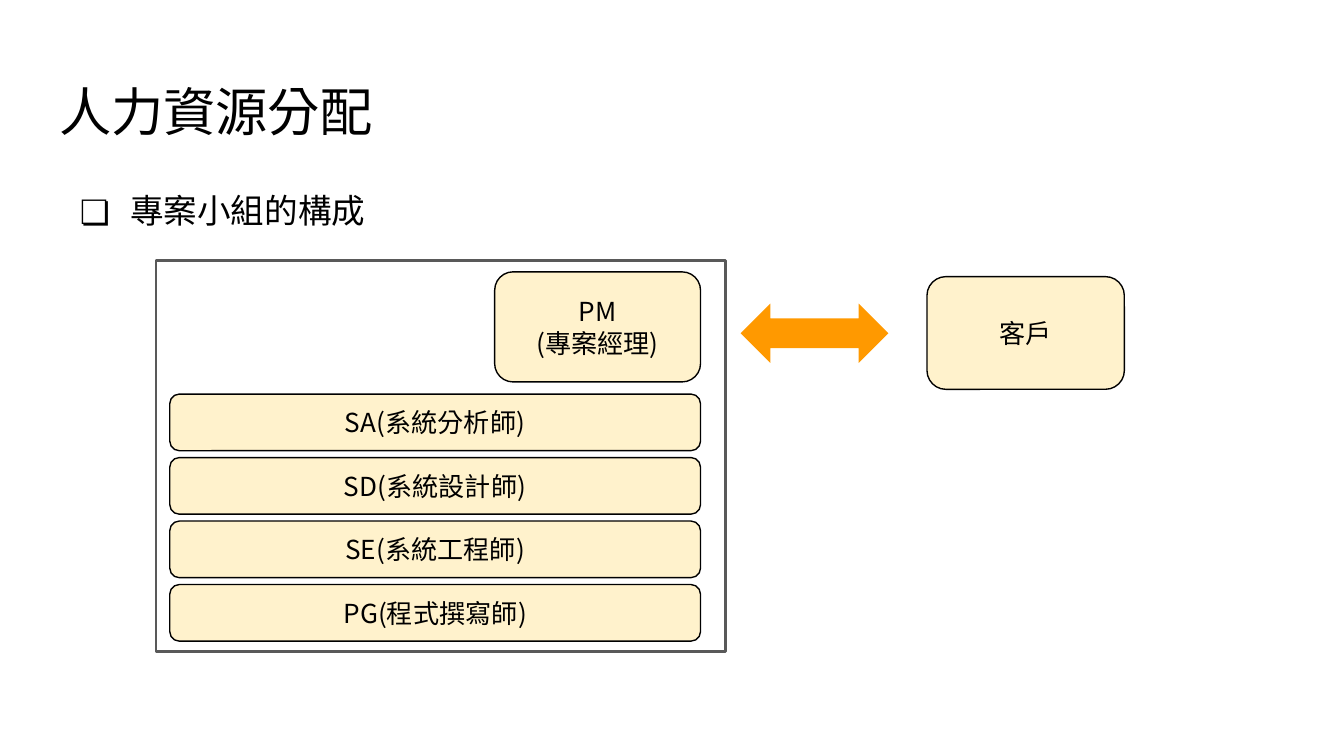
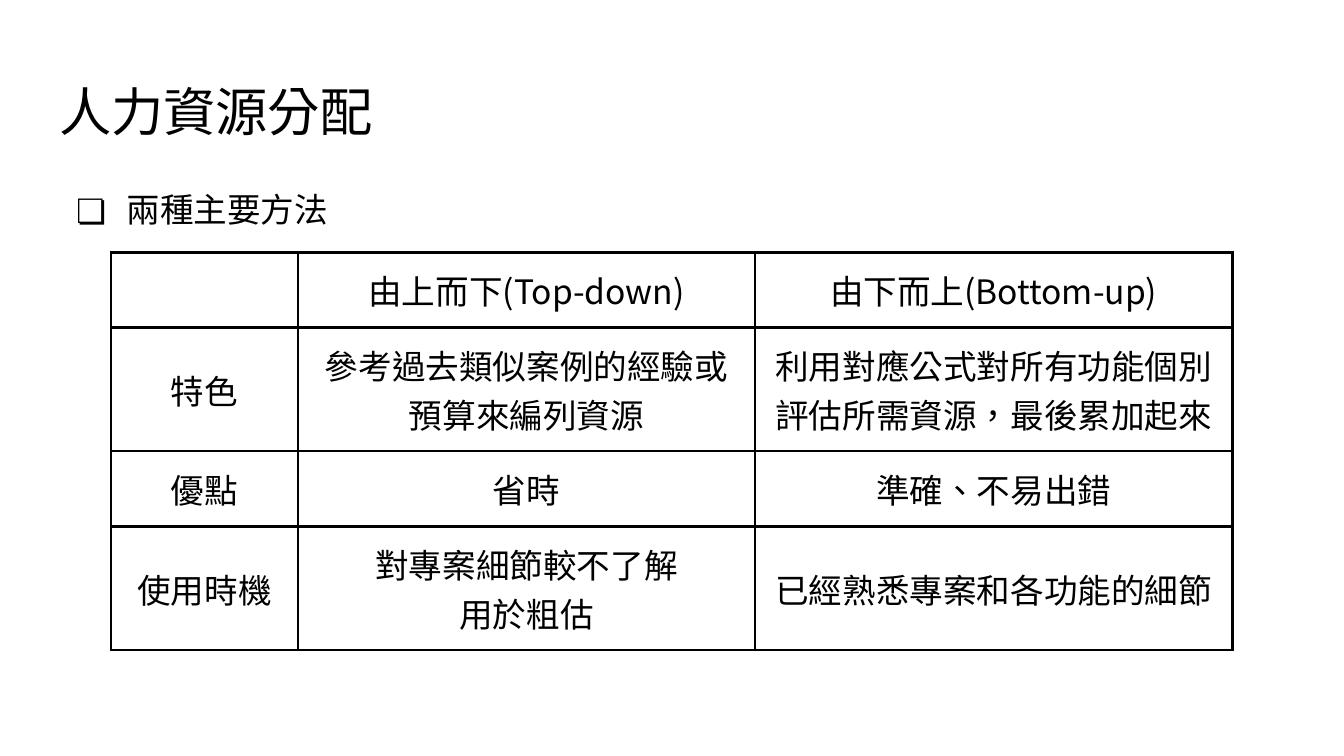
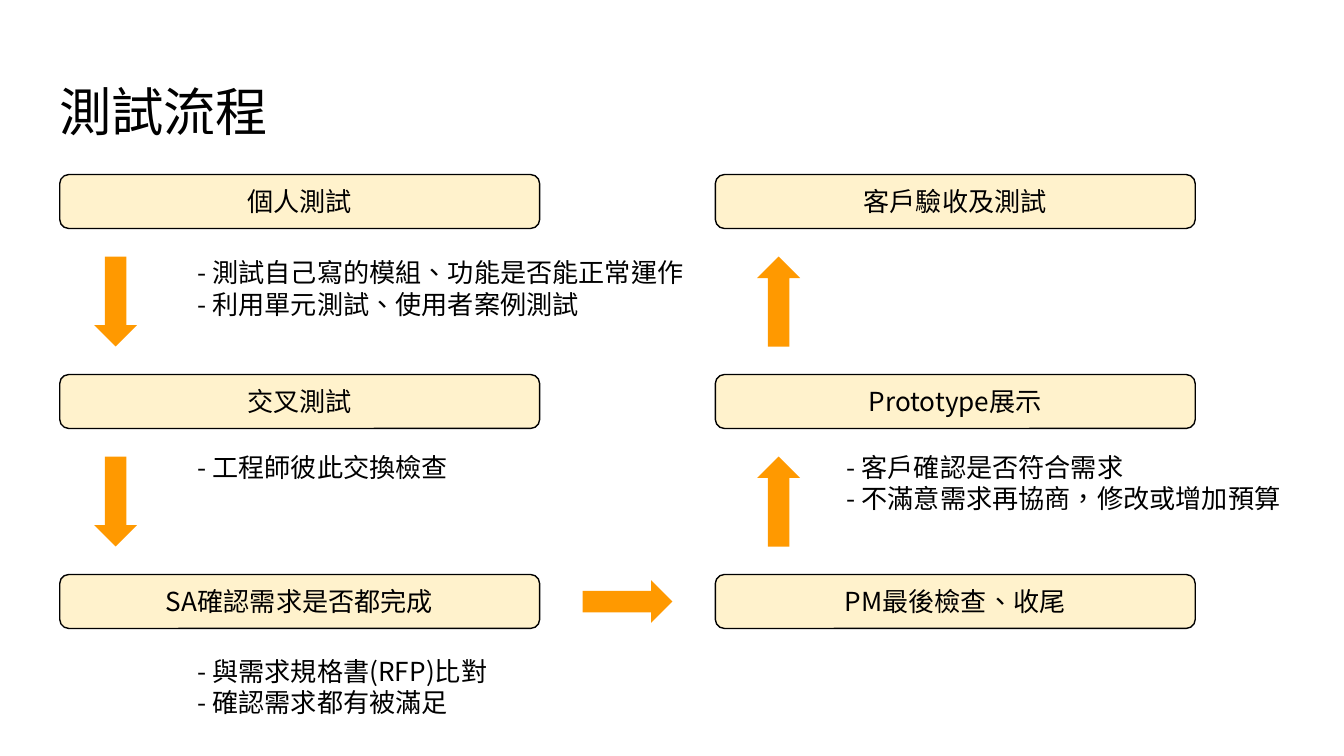
from dataclasses import dataclass

from lxml import etree
from pptx import Presentation
from pptx.dml.color import RGBColor
from pptx.enum.lang import MSO_LANGUAGE_ID
from pptx.enum.shapes import MSO_SHAPE
from pptx.enum.text import MSO_ANCHOR, PP_ALIGN
from pptx.oxml.ns import qn
from pptx.util import Cm, Pt

RECTANGLE = MSO_SHAPE.RECTANGLE
ROUNDED = MSO_SHAPE.ROUNDED_RECTANGLE
DOWN_ARROW = MSO_SHAPE.DOWN_ARROW
TWO_WAY_ARROW = MSO_SHAPE.LEFT_RIGHT_ARROW
CENTER, LEFT = PP_ALIGN.CENTER, PP_ALIGN.LEFT
MIDDLE, TOP = MSO_ANCHOR.MIDDLE, MSO_ANCHOR.TOP
LANGUAGE = MSO_LANGUAGE_ID.TRADITIONAL_CHINESE


@dataclass(frozen=True)
class Theme:
    font: str = "Noto Sans CJK TC"
    ink: str = "000000"
    box: str = "FFF2CC"
    arrow: str = "FF9900"
    frame: str = "595959"
    title_size: int = 28
    body_size: int = 18
    label_size: int = 14
    loose: float = 1.15
    inset: float = 0.25
    thin: float = 0.75
    thick: float = 1.5


THEME = Theme()

STAFFING_TITLE = "人力資源分配"
TEAM_HEADING = "專案小組的構成"
MANAGER = ["PM", "(專案經理)"]
ROLES = ["SA(系統分析師)", "SD(系統設計師)", "SE(系統工程師)", "PG(程式撰寫師)"]
CLIENT = ["客戶"]

METHODS_HEADING = "兩種主要方法"
METHODS = [
    [[], ["由上而下(Top-down)"], ["由下而上(Bottom-up)"]],
    [["特色"], ["參考過去類似案例的經驗或預算來編列資源"],
     ["利用對應公式對所有功能個別評估所需資源，最後累加起來"]],
    [["優點"], ["省時"], ["準確、不易出錯"]],
    [["使用時機"], ["對專案細節較不了解", "用於粗估"], ["已經熟悉專案和各功能的細節"]],
]
METHOD_WIDTHS = [3.53, 8.64, 9.02]
METHOD_HEIGHTS = [1.42, 2.34, 1.42, 2.34]

TESTING_TITLE = "測試流程"
STAGES = [
    ["個人測試", "交叉測試", "SA確認需求是否都完成"],
    ["客戶驗收及測試", "Prototype展示", "PM最後檢查、收尾"],
]
NOTES = [
    (3.48, 4.6, 9.96, 1.6, ["- 測試自己寫的模組、功能是否能正常運作", "- 利用單元測試、使用者案例測試"]),
    (3.48, 8.28, 9.96, 1.02, ["- 工程師彼此交換檢查"]),
    (3.48, 12.14, 9.07, 1.6, ["- 與需求規格書(RFP)比對", "- 確認需求都有被滿足"]),
    (15.75, 8.28, 9.07, 1.6, ["- 客戶確認是否符合需求", "- 不滿意需求再協商，修改或增加預算"]),
]


def color(value):
    return RGBColor.from_string(value)


def write(frame, lines, size, align=LEFT, spacing=None):
    for index, line in enumerate(lines):
        paragraph = frame.paragraphs[0] if index == 0 else frame.add_paragraph()
        run = paragraph.add_run()
        run.text = line
        run.font.language_id = LANGUAGE
        paragraph.alignment = align
        paragraph.line_spacing = spacing
        paragraph.font.name = THEME.font
        paragraph.font.size = Pt(size)
        paragraph.font.color.rgb = color(THEME.ink)
        defaults = paragraph._p.get_or_add_pPr().get_or_add_defRPr()
        defaults.find(qn("a:latin")).addnext(
            etree.Element(qn("a:ea"), typeface=THEME.font))


def set_margins(target):
    target.margin_left = target.margin_right = Cm(THEME.inset)
    target.margin_top = target.margin_bottom = Cm(THEME.inset)


def add_text(slide, bounds, lines, size, spacing=None):
    frame = slide.shapes.add_textbox(*map(Cm, bounds)).text_frame
    frame.word_wrap = True
    frame.vertical_anchor = TOP
    set_margins(frame)
    write(frame, lines, size, spacing=spacing)
    return frame


def add_heading(slide, left, top, text):
    frame = add_text(slide, (left, top, 23.67, 1.27), [text], THEME.body_size, THEME.loose)
    properties = frame.paragraphs[0]._p.get_or_add_pPr()
    properties.set("marL", str(Cm(1.27)))
    properties.set("indent", str(Cm(-0.95)))
    bullet_color = etree.Element(qn("a:buClr"))
    etree.SubElement(bullet_color, qn("a:srgbClr"), val=THEME.ink)
    bullet_font = etree.Element(qn("a:buFont"), typeface=THEME.font)
    bullet = etree.Element(qn("a:buChar"), char="❏")
    for element in (bullet_color, bullet_font, bullet):
        properties.find(qn("a:defRPr")).addprevious(element)


def add_figure(shapes, kind, bounds, fill=None, line=None, width=THEME.thin):
    shape = shapes.add_shape(kind, *map(Cm, bounds))
    shape.shadow.inherit = False
    if fill:
        shape.fill.solid()
        shape.fill.fore_color.rgb = color(fill)
    else:
        shape.fill.background()
    if line:
        shape.line.color.rgb = color(line)
        shape.line.width = Pt(width)
    else:
        shape.line.fill.background()
    return shape


def add_box(shapes, bounds, lines):
    frame = add_figure(shapes, ROUNDED, bounds, THEME.box, THEME.ink).text_frame
    frame.word_wrap = True
    frame.vertical_anchor = MIDDLE
    set_margins(frame)
    write(frame, lines, THEME.label_size, CENTER)


def add_arrow(slide, bounds, rotation=0, kind=DOWN_ARROW):
    add_figure(slide.shapes, kind, bounds, THEME.arrow).rotation = rotation


def add_slide(presentation, title):
    slide = presentation.slides.add_slide(presentation.slide_layouts[6])
    add_text(slide, (0.87, 1.24, 23.67, 1.6), [title], THEME.title_size)
    return slide


def set_borders(cell):
    properties = cell._tc.get_or_add_tcPr()
    for position, side in enumerate(("a:lnL", "a:lnR", "a:lnT", "a:lnB")):
        line = etree.Element(qn(side), w=str(Pt(THEME.thick)))
        fill = etree.SubElement(line, qn("a:solidFill"))
        etree.SubElement(fill, qn("a:srgbClr"), val=THEME.ink)
        properties.insert(position, line)


def build_team(presentation):
    slide = add_slide(presentation, STAFFING_TITLE)
    add_heading(slide, 0.94, 3.23, TEAM_HEADING)
    team = slide.shapes.add_group_shape().shapes
    add_figure(team, RECTANGLE, (2.95, 4.93, 10.77, 7.38),
               line=THEME.frame, width=THEME.thick)
    add_box(team, (9.35, 5.14, 3.89, 2.08), MANAGER)
    for index, role in enumerate(ROLES):
        add_box(team, (3.21, 7.45 + index * 1.2, 10.03, 1.07), [role])
    add_box(slide.shapes, (17.52, 5.23, 3.73, 2.13), CLIENT)
    add_arrow(slide, (14, 5.74, 2.79, 1.12), kind=TWO_WAY_ARROW)


def build_methods(presentation):
    slide = add_slide(presentation, STAFFING_TITLE)
    add_heading(slide, 0.87, 3.2, METHODS_HEADING)
    bounds = (2.1, 4.77, sum(METHOD_WIDTHS), sum(METHOD_HEIGHTS))
    table = slide.shapes.add_table(
        len(METHODS), len(METHOD_WIDTHS), *map(Cm, bounds)).table
    table.first_row = table.horz_banding = False
    for column, width in zip(table.columns, METHOD_WIDTHS):
        column.width = Cm(width)
    for row, height, contents in zip(table.rows, METHOD_HEIGHTS, METHODS):
        row.height = Cm(height)
        for cell, lines in zip(row.cells, contents):
            cell.fill.background()
            cell.vertical_anchor = MIDDLE
            set_margins(cell)
            set_borders(cell)
            write(cell.text_frame, lines, THEME.body_size, CENTER)


def build_testing(presentation):
    slide = add_slide(presentation, TESTING_TITLE)
    lefts, top, pitch = (1.13, 13.52), 3.3, 3.78
    box_width, box_height = 9.07, 1.02
    arrow_width, arrow_height = 0.81, 1.7
    arrow_columns = ((1.78, 0), (14.31, 180))
    for left, stages, (arrow_left, rotation) in zip(lefts, STAGES, arrow_columns):
        for index, stage in enumerate(stages):
            stage_top = top + index * pitch
            add_box(slide.shapes, (left, stage_top, box_width, box_height), [stage])
            if index < len(stages) - 1:
                add_arrow(slide, (arrow_left, stage_top + 1.55, arrow_width, arrow_height),
                          rotation)
    center_x = (lefts[0] + box_width + lefts[1]) / 2
    center_y = top + 2 * pitch + box_height / 2
    add_arrow(slide, (center_x - arrow_width / 2, center_y - arrow_height / 2,
                      arrow_width, arrow_height), 270)
    for *bounds, lines in NOTES:
        add_text(slide, bounds, lines, THEME.label_size)


def main():
    presentation = Presentation()
    presentation.slide_width, presentation.slide_height = Cm(25.4), Cm(14.29)
    build_team(presentation)
    build_methods(presentation)
    build_testing(presentation)
    presentation.save("out.pptx")


if __name__ == "__main__":
    main()
